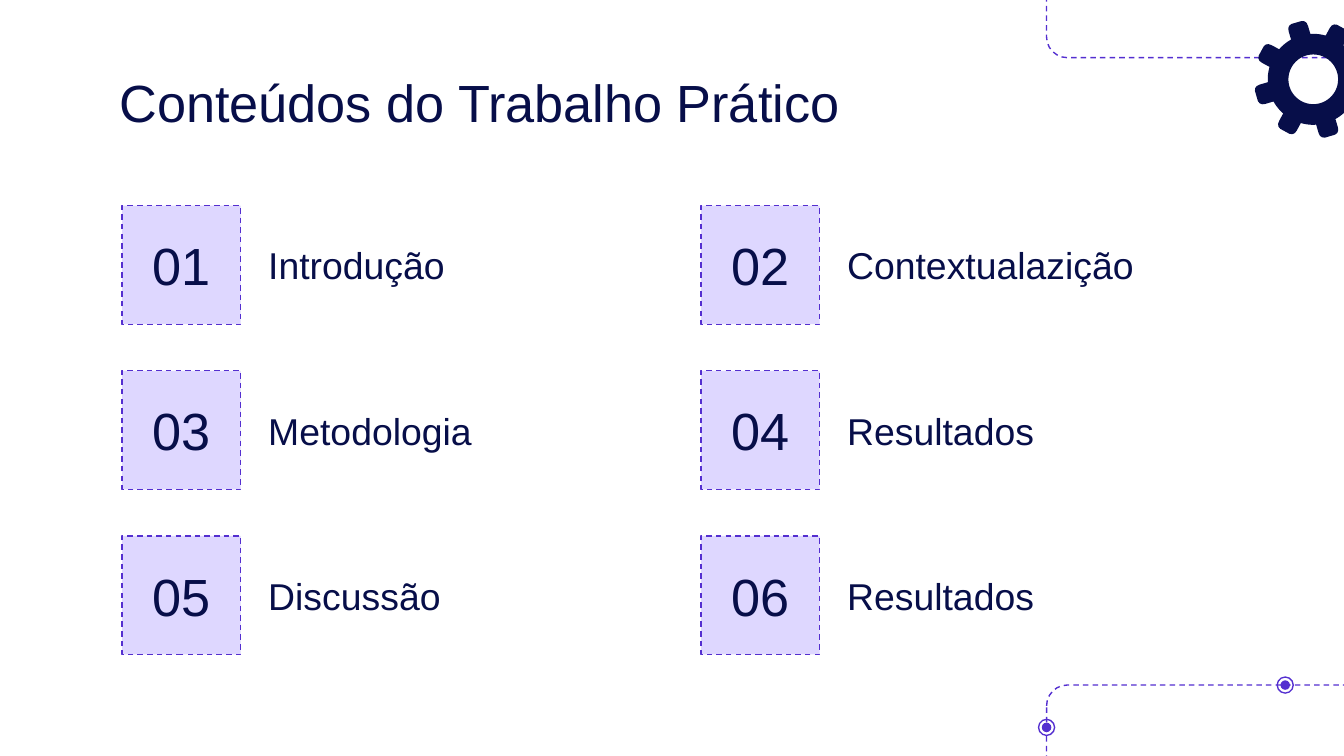
from math import asin, cos, pi, radians, sin

from pptx import Presentation
from pptx.dml.color import RGBColor
from pptx.enum.dml import MSO_LINE
from pptx.enum.shapes import MSO_SHAPE
from pptx.enum.text import MSO_ANCHOR, PP_ALIGN
from pptx.util import Cm, Pt

NAVY = RGBColor(0x07, 0x0E, 0x49)
PURPLE = RGBColor(0x54, 0x2F, 0xD0)
LILAC = RGBColor(0xDE, 0xD7, 0xFF)
DASH = MSO_LINE.DASH
RECT, ROUND = MSO_SHAPE.RECTANGLE, MSO_SHAPE.ROUNDED_RECTANGLE
OVAL, DONUT = MSO_SHAPE.OVAL, MSO_SHAPE.DONUT
TOP, MIDDLE = MSO_ANCHOR.TOP, MSO_ANCHOR.MIDDLE
LEFT, CENTER = PP_ALIGN.LEFT, PP_ALIGN.CENTER

# Content
TITLE = "Conteúdos do Trabalho Prático"
TOPICS = ["Introdução", "Contextualazição", "Metodologia",
          "Resultados", "Discussão", "Resultados"]

# Layout in cm
COLUMNS = 2
GRID_X, GRID_Y = 2.31, 3.89
STEP_X, STEP_Y = 10.94, 3.12
BOX = 2.24
LABEL_DX, LABEL_W = 2.51, 7.34
FRAME_X, FRAME_TOPS = 19.78, (-1.22, 12.95)
FRAME_W, FRAME_H = 6.65, 2.31
NODES = [(24.29, 12.95), (19.78, 13.75)]
NODE_DOT, NODE_RING = 0.18, 0.33

# Gear: centre, radii and one tooth as (radial, tangential) corners
GEAR_X, GEAR_Y = 24.82, 1.5
BODY_R, HOLE_R = 0.86, 0.47
TEETH, FIRST_TOOTH = 8, -106.4
TOOTH = [(1.0, -0.19), (1.06, -0.18), (1.1, -0.15), (1.12, -0.1),
         (1.12, 0.1), (1.1, 0.15), (1.06, 0.18), (1.0, 0.19)]


def add_shape(kind, x, y, w, h, fill=None, outlined=False):
    sp = s.shapes.add_shape(kind, Cm(x), Cm(y), Cm(w), Cm(h))
    style(sp, fill, outlined)
    return sp


def style(sp, fill, outlined=False):
    sp.shadow.inherit = False
    if fill is None:
        sp.fill.background()
    else:
        sp.fill.solid()
        sp.fill.fore_color.rgb = fill
    if outlined:
        sp.line.color.rgb = PURPLE
        sp.line.width = Pt(0.75)
        sp.line.dash_style = DASH
    else:
        sp.line.fill.background()


def write(sp, text, size, align=LEFT, anchor=MIDDLE):
    tf = sp.text_frame
    tf.word_wrap = True
    tf.vertical_anchor = anchor
    tf.margin_left = tf.margin_right = Cm(0.25)
    tf.margin_top = tf.margin_bottom = Cm(0.25)
    p = tf.paragraphs[0]
    p.alignment = align
    r = p.add_run()
    r.text = text
    r.font.name = "Arial"
    r.font.size = Pt(size)
    r.font.color.rgb = NAVY


def add_text(x, y, w, h, *args, **kwargs):
    write(s.shapes.add_textbox(Cm(x), Cm(y), Cm(w), Cm(h)), *args, **kwargs)


def polar(radius, angle):
    return (Cm(GEAR_X + radius * cos(angle)), Cm(GEAR_Y + radius * sin(angle)))


def add_gear():
    half = asin(TOOTH[-1][1] / BODY_R)
    pitch = 2 * pi / TEETH
    rim = []
    for i in range(TEETH):
        angle = radians(FIRST_TOOTH) + i * pitch
        for out, side in TOOTH:
            rim.append((Cm(GEAR_X + out * cos(angle) - side * sin(angle)),
                        Cm(GEAR_Y + out * sin(angle) + side * cos(angle))))
        # Body arc up to the next tooth
        gap = pitch - 2 * half
        rim += [polar(BODY_R, angle + half + gap * k / 6) for k in range(7)]
    hole = [polar(HOLE_R, -2 * pi * k / 48) for k in range(48)]
    fb = s.shapes.build_freeform(*rim[0])
    fb.add_line_segments(rim[1:])
    fb.move_to(*hole[0])
    fb.add_line_segments(hole[1:])
    style(fb.convert_to_shape(), NAVY)


prs = Presentation()
prs.slide_width, prs.slide_height = Cm(25.4), Cm(14.29)
s = prs.slides.add_slide(prs.slide_layouts[6])

# Corner decoration
for top in FRAME_TOPS:
    frame = add_shape(ROUND, FRAME_X, top, FRAME_W, FRAME_H, outlined=True)
    frame.adjustments[0] = 0.17
for x, y in NODES:
    for kind, d in ((OVAL, NODE_DOT), (DONUT, NODE_RING)):
        node = add_shape(kind, x - d / 2, y - d / 2, d, d, PURPLE)
        if kind == DONUT:
            node.adjustments[0] = 0.08
add_gear()

# Title and numbered topics
add_text(2.01, 1.07, 21.41, 1.65, TITLE, 28, anchor=TOP)
for i, topic in enumerate(TOPICS):
    row, col = divmod(i, COLUMNS)
    x, y = GRID_X + col * STEP_X, GRID_Y + row * STEP_Y
    box = add_shape(RECT, x, y, BOX, BOX, LILAC, outlined=True)
    write(box, f"{i + 1:02}", 28, align=CENTER)
    add_text(x + LABEL_DX, y, LABEL_W, BOX, topic, 20)

prs.save("out.pptx")
